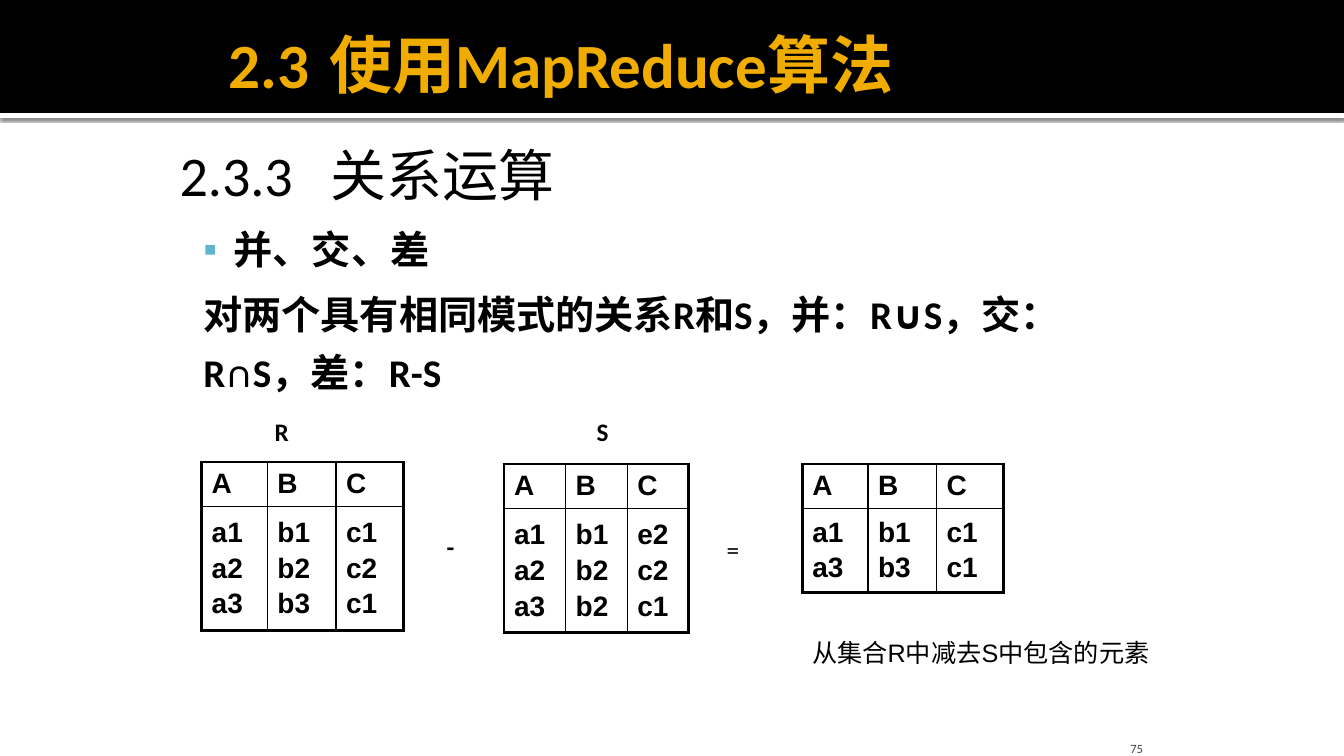
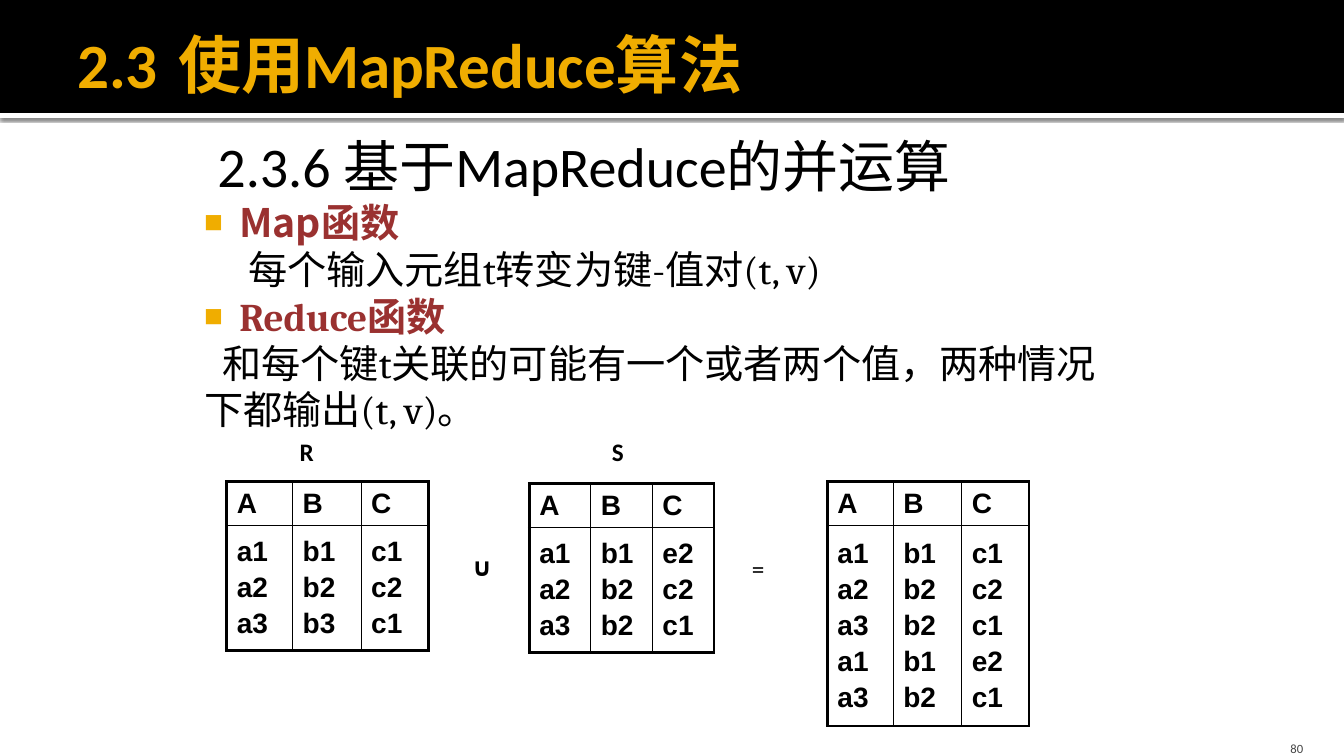
from pptx import Presentation
from pptx.dml.color import RGBColor
from pptx.enum.shapes import MSO_SHAPE
from pptx.enum.text import MSO_ANCHOR, PP_ALIGN
from pptx.oxml import parse_xml
from pptx.oxml.ns import nsdecls
from pptx.util import Pt

BLACK, WHITE, GOLD = "000000", "FFFFFF", "F0AD00"
RED, BLUE, GREY = "9A3130", "60B5CC", "454545"
SANS, SERIF, CELL, HAN = "Calibri", "Cambria", "Arial", "Noto Sans CJK SC"
R_ROWS = ["a1 b1 c1", "a2 b2 c2", "a3 b3 c1"]
S_ROWS = ["a1 b1 e2", "a2 b2 c2", "a3 b2 c1"]
WIDE, SLIM = (47, 49, 48), (44, 44, 44)


def tint(code):
    """Turn a hex string into a colour."""
    return RGBColor.from_string(code)


def node(tag, inner="", **attrs):
    """Make one drawing element."""
    text = " ".join(f'{key}="{val}"' for key, val in attrs.items())
    return parse_xml(f"<a:{tag} {nsdecls('a')} {text}>{inner}</a:{tag}>")


def style(para, size, color=BLACK, bold=False, font=SANS):
    """Format every run of a paragraph."""
    for run in para.runs:
        run.font.size = Pt(size)
        run.font.name = font
        run.font.bold = bold
        run.font.color.rgb = tint(color)


def indent(para, left=0, first=0, bullet=None, tab=None):
    """Set the margins, bullet and tab stop of a paragraph in points."""
    props = para._p.get_or_add_pPr()
    props.set("marL", str(Pt(left)))
    props.set("indent", str(Pt(first)))
    if bullet:
        char, color, scale = bullet
        props.append(node("buClr", f'<a:srgbClr val="{color}"/>'))
        props.append(node("buSzPct", val=scale * 1000))
        props.append(node("buFont", typeface=CELL))
        props.append(node("buChar", char=char))
    else:
        props.append(node("buNone"))
    if tab:
        props.append(node("tabLst", f'<a:tab pos="{Pt(tab)}" algn="l"/>'))


def inset(frame, left, top, right, bottom):
    """Set the inner margins of a frame in points."""
    frame.margin_left, frame.margin_top = Pt(left), Pt(top)
    frame.margin_right, frame.margin_bottom = Pt(right), Pt(bottom)
    frame.word_wrap = True


def label(slide, text, left, top, width=32, height=29, **look):
    """Place one line of text."""
    box = slide.shapes.add_textbox(Pt(left), Pt(top), Pt(width), Pt(height))
    frame = box.text_frame
    inset(frame, 7.2, 3.6, 7.2, 3.6)
    frame.text = text
    style(frame.paragraphs[0], **{"size": 18, **look})
    return frame


def bands(slide, layout):
    """Put the black title band and its white edge on the layout."""
    for spot, (top, height, color) in enumerate([(80.6, 3.6, WHITE), (0, 80.6, BLACK)]):
        band = slide.shapes.add_shape(
            MSO_SHAPE.RECTANGLE, 0, Pt(top), Pt(960), Pt(height))
        band.shadow.inherit = False
        band.fill.solid()
        band.fill.fore_color.rgb = tint(color)
        band.line.fill.background()
        if color == WHITE:
            band.element.spPr.find("{*}effectLst").append(node(
                "outerShdw",
                f'<a:srgbClr val="{BLACK}"><a:alpha val="60000"/></a:srgbClr>',
                blurRad=Pt(2.5), dist=Pt(0.8), dir=5400000, rotWithShape=0))
        layout.shapes.element.insert(2 + spot, band.element)


def head(slide, left, width):
    """Place and format the title."""
    title = slide.shapes.title
    title.left, title.top = Pt(left), Pt(6)
    title.width, title.height = Pt(width), Pt(78)
    frame = title.text_frame
    inset(frame, 7.2, 3.6, 3.6, 3.6)
    frame.vertical_anchor = MSO_ANCHOR.MIDDLE
    frame.text = "2.3\t使用MapReduce算法"
    para = frame.paragraphs[0]
    indent(para, tab=89)
    para.alignment = PP_ALIGN.LEFT
    style(para, 45, GOLD, True)


def folio(slide, text, left, width):
    """Place the page number."""
    frame = label(slide, text, left, 518.4, width, 21.6, size=9, color=GREY)
    frame.margin_bottom = 0
    frame.vertical_anchor = MSO_ANCHOR.BOTTOM
    frame.paragraphs[0].alignment = PP_ALIGN.RIGHT


def body(slide, box, pitch, gap, items):
    """Fill the body box with a heading and its paragraphs."""
    frame = slide.shapes.add_textbox(*map(Pt, box)).text_frame
    inset(frame, 4.3, 7.2, 7.2, 3.6)
    for rank, (text, place, look) in enumerate(items):
        para = frame.add_paragraph() if rank else frame.paragraphs[0]
        para.text = text
        indent(para, **place)
        para.line_spacing = Pt(pitch if rank else 48)
        if rank:
            para.space_before = Pt(gap)
        style(para, **{"size": 28, **look})


def edge(cell, row, col):
    """Draw thick outer and thin inner cell borders."""
    props = cell._tc.get_or_add_tcPr()
    sides = {"lnL": col == 0, "lnR": col == 2, "lnT": row == 0, "lnB": row == 1}
    for spot, (tag, outer) in enumerate(sides.items()):
        fill = f'<a:solidFill><a:srgbClr val="{BLACK}"/></a:solidFill>'
        props.insert(spot, node(tag, fill, w=Pt(2.25 if outer else 1)))


def grid(slide, left, top, cols, deep, rows):
    """Draw a relation with a header row and one row of stacked values."""
    table = slide.shapes.add_table(
        2, 3, Pt(left), Pt(top), Pt(sum(cols)), Pt(31.5 + deep)).table
    table.first_row = table.horz_banding = False
    table.rows[0].height, table.rows[1].height = Pt(31.5), Pt(deep)
    stacks = list(zip(*(row.split() for row in rows)))
    for col, width in enumerate(cols):
        table.columns[col].width = Pt(width)
        for row, text in enumerate(["ABC"[col], "\n".join(stacks[col])]):
            cell = table.cell(row, col)
            cell.text = text
            cell.fill.background()
            cell.vertical_anchor = MSO_ANCHOR.MIDDLE
            edge(cell, row, col)
            for rank, para in enumerate(cell.text_frame.paragraphs):
                style(para, 20, bold=True, font=CELL)
                if rank:
                    para.space_before = Pt(3.3)


def sum_up(slide, left, top, sign, s_left, drop, deep, rows):
    """Draw relation R, the sign, relation S and the result in one line."""
    grid(slide, left, top, WIDE, 89, R_ROWS)
    grid(slide, left + 216, top + 1.5, SLIM, 89, S_ROWS)
    grid(slide, left + 429, top + drop, WIDE, deep, rows)
    label(slide, "R", left + 45, top - 36, bold=True)
    label(slide, "S", left + s_left, top - 36, bold=True)
    label(slide, sign, left + 168, top + 46, bold=True)
    label(slide, "=", left + 368, top + 48)


def minus(slide):
    """Build the slide on union, intersection and difference."""
    head(slide, 156, 648)
    folio(slide, "75", 766, 57.6)
    body(slide, (105, 93, 693, 435), 41.4, 5, [
        ("2.3.3\t关系运算", {"left": 19, "tab": 108}, {"size": 40}),
        ("并、交、差", {"left": 57.6, "first": -21.6, "bullet": ("▪", BLUE, 100)},
         {"bold": True}),
        ("对两个具有相同模式的关系R和S，并：R∪S，交：R∩S，差：R-S",
         {"left": 36}, {"bold": True})])
    sum_up(slide, 144, 330, "-", 275, 1.5, 60, ["a1 b1 c1", "a3 b3 c1"])
    label(slide, "从集合R中减去S中包含的元素", 573, 452, 339, font=CELL)


def union(slide):
    """Build the slide on union with map and reduce."""
    head(slide, 48, 864)
    folio(slide, "80", 861, 77)
    point = {"left": 34.6, "first": -25.2, "bullet": ("■", GOLD, 80)}
    body(slide, (132, 86.4, 672, 450), 33.5, 0, [
        ("2.3.6 基于MapReduce的并运算", {"left": 19}, {"size": 40}),
        ("Map函数", point, {"color": RED, "bold": True, "font": HAN}),
        ("每个输入元组t转变为键-值对(t, v)", {"left": 41}, {"font": SERIF}),
        ("Reduce函数", point, {"color": RED, "bold": True, "font": SERIF}),
        ("和每个键t关联的可能有一个或者两个值，两种情况下都输出(t, v)。",
         {"left": 9.4, "first": 13}, {"font": SERIF})])
    rows = R_ROWS[:1] + S_ROWS[1:] + ["a1 b1 e2", "a3 b2 c1"]
    sum_up(slide, 162, 344, "∪", 268, 0, 143, rows)


def main():
    """Build and save the deck."""
    deck = Presentation()
    deck.slide_width, deck.slide_height = Pt(960), Pt(540)
    layout = deck.slide_layouts[5]
    first, second = (deck.slides.add_slide(layout) for _ in range(2))
    bands(first, layout)
    minus(first)
    union(second)
    deck.save("out.pptx")


if __name__ == "__main__":
    main()
